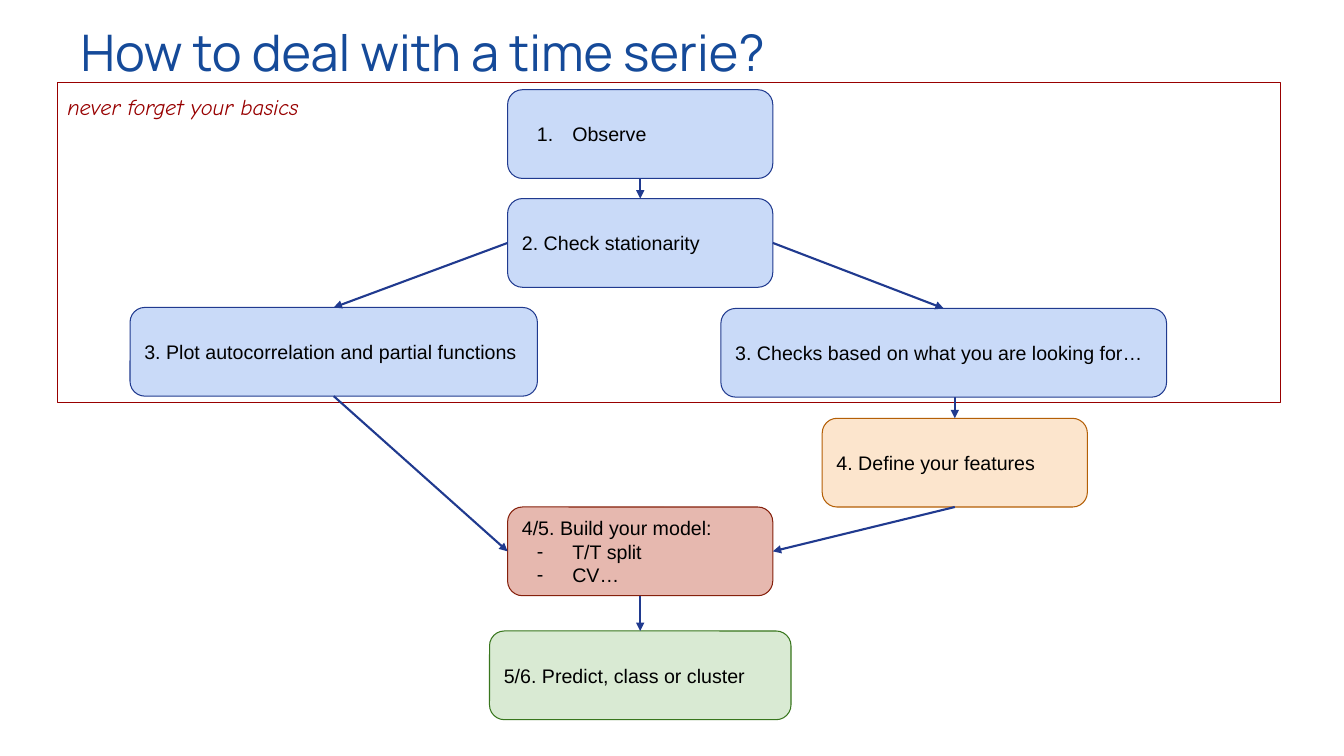
from pptx import Presentation
from pptx.dml.color import RGBColor
from pptx.enum.shapes import MSO_CONNECTOR, MSO_SHAPE
from pptx.enum.text import MSO_ANCHOR, MSO_AUTO_SIZE, PP_ALIGN
from pptx.oxml.ns import qn
from pptx.util import Inches, Pt
from lxml.etree import SubElement, Element

BLACK = RGBColor(0x00, 0x00, 0x00)
TITLE_BLUE = RGBColor(0x15, 0x4A, 0x99)
NAVY = RGBColor(0x20, 0x3A, 0x8F)
PALE_BLUE = RGBColor(0xC9, 0xDA, 0xF8)
DARK_RED = RGBColor(0x98, 0x00, 0x00)
BROWN = RGBColor(0x85, 0x20, 0x0C)
PINK = RGBColor(0xE6, 0xB8, 0xAF)
ORANGE = RGBColor(0xB4, 0x5F, 0x06)
PEACH = RGBColor(0xFC, 0xE5, 0xCD)
GREEN = RGBColor(0x38, 0x76, 0x1D)
MINT = RGBColor(0xD9, 0xEA, 0xD3)

TOP, LEFT, BOTTOM, RIGHT = range(4)
BOX_HEIGHT = 0.88
STEP_WIDTH = 2.63
CENTRE = 6.35
FEATURES_CENTRE = 9.47


class Flowchart:
    body_font = "Arial"
    title_font = "Manrope"
    note_font = "Comic Neue"

    def __init__(self, deck):
        self.page = deck.slides.add_slide(deck.slide_layouts[5])

    def style(self, para, name, size, color, italic=False):
        para.alignment = PP_ALIGN.LEFT
        para.font.name = name
        para.font.size = Pt(size)
        para.font.color.rgb = color
        para.font.italic = italic

    def margins(self, frame, inset):
        frame.margin_left = frame.margin_right = Inches(inset)
        frame.margin_top = frame.margin_bottom = Inches(inset)

    def title(self, text, left, top, width, height):
        holder = self.page.shapes.title
        holder.left, holder.top = Inches(left), Inches(top)
        holder.width, holder.height = Inches(width), Inches(height)
        frame = holder.text_frame
        frame.text = text
        frame.auto_size = MSO_AUTO_SIZE.NONE
        frame.vertical_anchor = MSO_ANCHOR.TOP
        self.margins(frame, 0)
        self.style(frame.paragraphs[0], self.title_font, 36, TITLE_BLUE)

    def frame(self, left, top, width, height):
        border = self.page.shapes.add_shape(
            MSO_SHAPE.RECTANGLE, Inches(left), Inches(top), Inches(width), Inches(height))
        border.shadow.inherit = False
        border.fill.background()
        border.line.color.rgb = DARK_RED
        border.line.width = Pt(0.75)

    def note(self, text, left, top, width, height):
        box = self.page.shapes.add_textbox(
            Inches(left), Inches(top), Inches(width), Inches(height))
        frame = box.text_frame
        frame.text = text
        frame.word_wrap = True
        frame.auto_size = MSO_AUTO_SIZE.SHAPE_TO_FIT_TEXT
        self.margins(frame, 0.1)
        self.style(frame.paragraphs[0], self.note_font, 16, DARK_RED, italic=True)

    def bullet(self, para, tag, **attributes):
        properties = para._p.get_or_add_pPr()
        properties.set("marL", str(Inches(0.5)))
        properties.set("indent", str(Inches(-0.35)))
        color = Element(qn("a:buClr"))
        SubElement(color, qn("a:srgbClr"), val=str(BLACK))
        properties.insert(0, color)
        properties.insert(1, Element(qn("a:buFont"), typeface=self.body_font))
        properties.insert(2, Element(qn(tag), **attributes))

    def step(self, lines, centre, top, width=STEP_WIDTH, fill=PALE_BLUE, line=NAVY):
        box = self.page.shapes.add_shape(
            MSO_SHAPE.ROUNDED_RECTANGLE, Inches(centre - width / 2), Inches(top),
            Inches(width), Inches(BOX_HEIGHT))
        box.shadow.inherit = False
        box.fill.solid()
        box.fill.fore_color.rgb = fill
        box.line.color.rgb = line
        box.line.width = Pt(0.75)
        frame = box.text_frame
        frame.text = "\n".join(lines)
        frame.word_wrap = True
        frame.vertical_anchor = MSO_ANCHOR.MIDDLE
        self.margins(frame, 0.1)
        for para in frame.paragraphs:
            self.style(para, self.body_font, 14, BLACK)
        return box

    def arrow(self, target, target_side, source=None, source_side=BOTTOM, start=(0, 0)):
        left, top = map(Inches, start)
        link = self.page.shapes.add_connector(MSO_CONNECTOR.STRAIGHT, left, top, left, top)
        if source is not None:
            link.begin_connect(source, source_side)
        link.end_connect(target, target_side)
        link.line.color.rgb = NAVY
        link.line.width = Pt(1.5)
        SubElement(link.line._get_or_add_ln(), qn("a:tailEnd"), type="triangle")
        SubElement(link._element.spPr, qn("a:effectLst"))


def main():
    deck = Presentation()
    deck.slide_width, deck.slide_height = Inches(13.33), Inches(7.5)
    chart = Flowchart(deck)

    chart.frame(0.57, 0.82, 12.13, 3.17)
    chart.title("How to deal with a time serie?", 0.8, 0.21, 11.33, 0.71)

    observe = chart.step(["Observe"], CENTRE, 0.89)
    chart.bullet(observe.text_frame.paragraphs[0], "a:buAutoNum", type="arabicPeriod")
    stationarity = chart.step(["2. Check stationarity"], CENTRE, 1.97)
    plots = chart.step(["3. Plot autocorrelation and partial functions"], 3.31, 3.05, 4.04)
    model = chart.step(["4/5. Build your model:", "T/T split", "CV…"],
                       CENTRE, 5.03, fill=PINK, line=BROWN)
    for para in model.text_frame.paragraphs[1:]:
        chart.bullet(para, "a:buChar", char="-")
    predict = chart.step(["5/6. Predict, class or cluster"], CENTRE, 6.26, 2.99, MINT, GREEN)
    features = chart.step(["4. Define your features"], FEATURES_CENTRE, 4.15,
                          fill=PEACH, line=ORANGE)
    chart.arrow(features, TOP, start=(FEATURES_CENTRE, 3.77))
    checks = chart.step(["3. Checks based on what you are looking for…"], 9.36, 3.06, 4.42)

    chart.arrow(stationarity, TOP, observe)
    chart.arrow(plots, TOP, stationarity, LEFT)
    chart.arrow(checks, TOP, stationarity, RIGHT)
    chart.arrow(model, LEFT, plots)
    chart.arrow(model, RIGHT, features)
    chart.arrow(predict, TOP, model)

    chart.note("never forget your basics", 0.57, 0.82, 2.8, 0.47)
    deck.save("out.pptx")


if __name__ == "__main__":
    main()
